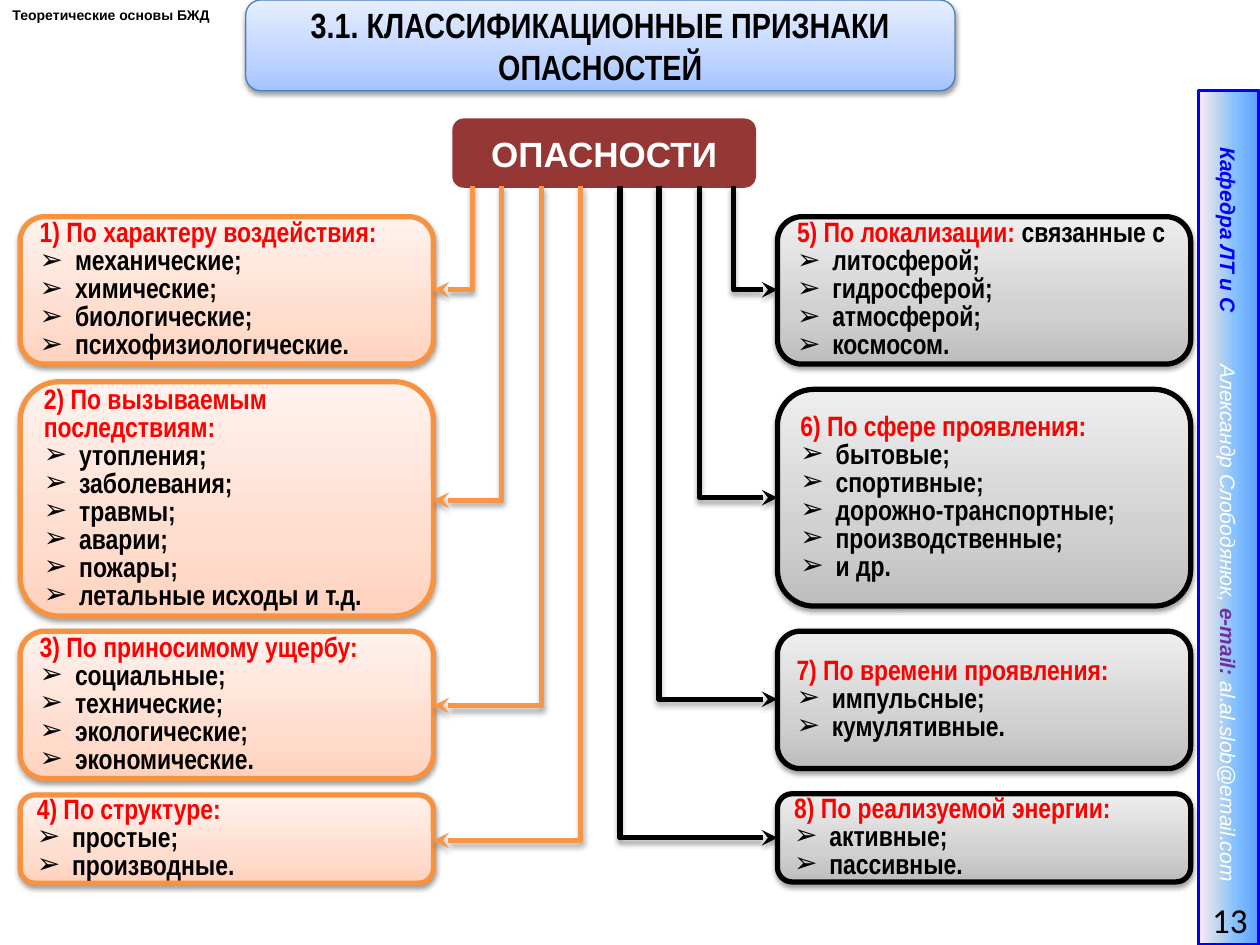
import pptx
import pptx.util
from pptx.dml.color import RGBColor
from pptx.enum.shapes import MSO_CONNECTOR, MSO_SHAPE
from pptx.enum.text import MSO_ANCHOR, PP_ALIGN
from pptx.oxml.ns import qn
from pptx.util import Inches, Pt
from lxml import etree

COLORS = {
    "black": "000000", "white": "FFFFFF", "red": "FF0000", "blue": "0000FF",
    "purple": "7030A0", "maroon": "953735", "orange line": "F69240",
    "orange arrow": "F79646", "title line": "4B7EBC",
}
GRADIENTS = {
    "orange": [(0, "FFD2BD"), (35, "FFDED0"), (100, "FFF2ED")],
    "gray": [(0, "BDBDBD"), (35, "D1D1D1"), (100, "EEEEEE")],
    "title": [(0, "A4C4FF"), (35, "BFD4FF"), (100, "E6EEFF")],
    "sidebar": [(0, "5E9EFF"), (40, "85C2FF"), (70, "C4D6EB"), (100, "FFEBFA")],
}
CARD_WIDTH = 3.28
LEFT_X, RIGHT_X = 0.16, 6.17
ROOT_BOTTOM = 1.48

# top, height, heading, heading tail, items, arrow x, arrow y
LEFT_CARDS = [
    (1.72, 1.17, "1) По характеру воздействия:", "",
     ["механические;", "химические;", "биологические;", "психофизиологические."], 3.75, 2.3),
    (3.03, 1.86, "2) По вызываемым последствиям:", "",
     ["утопления;", "заболевания;", "травмы;", "аварии;", "пожары;",
      "летальные исходы и т.д."], 3.98, 3.97),
    (5.01, 1.17, "3) По приносимому ущербу:", "",
     ["социальные;", "технические;", "экологические;", "экономические."], 4.3, 5.6),
    (6.31, 0.7, "4) По структуре:", "", ["простые;", "производные."], 4.61, 6.67),
]
RIGHT_CARDS = [
    (1.72, 1.17, "5) По локализации: ", "связанные с",
     ["литосферой;", "гидросферой;", "атмосферой;", "космосом."], 5.82, 2.3),
    (3.09, 1.72, "6) По сфере проявления:", "",
     ["бытовые;", "спортивные;", "дорожно-транспортные;", "производственные;",
      "и др."], 5.55, 3.95),
    (5.01, 1.09, "7) По времени проявления:", "",
     ["импульсные;", "кумулятивные."], 5.23, 5.55),
    (6.3, 0.7, "8) По реализуемой энергии:", "", ["активные;", "пассивные."], 4.92, 6.65),
]


def rgb(name):
    return RGBColor.from_string(COLORS[name])


def add_span(para, text, size, font, color, bold=False, italic=False):
    span = para.add_run()
    span.text = text
    span.font.size = Pt(size)
    span.font.name = font
    span.font.bold = bold
    span.font.italic = italic
    span.font.color.rgb = rgb(color)


def add_shadow(properties, opacity, distance):
    effects = properties.find(qn("a:effectLst"))
    if effects is None:
        effects = etree.SubElement(properties, qn("a:effectLst"))
    shadow = etree.SubElement(effects, qn("a:outerShdw"), blurRad=str(Pt(3.1)),
                              dist=str(Pt(distance)), dir="5400000", rotWithShape="0")
    color = etree.SubElement(shadow, qn("a:srgbClr"), val=COLORS["black"])
    etree.SubElement(color, qn("a:alpha"), val=str(opacity * 1000))


def fill_gradient(shape, stops, angle):
    shape.fill.gradient()
    shape.fill.gradient_angle = angle
    stop_list = shape._element.spPr.find(qn("a:gradFill")).find(qn("a:gsLst"))
    for stop in list(stop_list):
        stop_list.remove(stop)
    for position, color in stops:
        stop = etree.SubElement(stop_list, qn("a:gs"), pos=str(position * 1000))
        etree.SubElement(stop, qn("a:srgbClr"), val=color)


def add_box(slide, kind, left, top, width, height, line=None, line_width=0, inset=None):
    box = slide.shapes.add_shape(kind, Inches(left), Inches(top), Inches(width), Inches(height))
    box.shadow.inherit = False
    if line:
        box.line.color.rgb = rgb(line)
        box.line.width = Pt(line_width)
    else:
        box.line.fill.background()
    frame = box.text_frame
    frame.word_wrap = True
    frame.vertical_anchor = MSO_ANCHOR.MIDDLE
    if inset is not None:
        frame.margin_left = frame.margin_right = Inches(inset)
        frame.margin_top = frame.margin_bottom = Inches(inset)
    return box


def add_label(slide, left, top, width, height, wrap):
    label = slide.shapes.add_textbox(Inches(left), Inches(top), Inches(width), Inches(height))
    label.text_frame.word_wrap = wrap
    return label


def add_bullet(para):
    properties = para._p.get_or_add_pPr()
    properties.set("marL", str(Inches(0.28)))
    properties.set("indent", str(-Inches(0.28)))
    etree.SubElement(properties, qn("a:buFont"), typeface="Arial")
    etree.SubElement(properties, qn("a:buChar"), char="➢")


def add_card(slide, left, top, height, gradient, line, heading, tail, items):
    card = add_box(slide, MSO_SHAPE.ROUNDED_RECTANGLE, left, top, CARD_WIDTH, height, line, 3)
    fill_gradient(card, GRADIENTS[gradient], 90)
    add_shadow(card._element.spPr, 38, 1.6)
    frame = card.text_frame
    para = frame.paragraphs[0]
    para.alignment = PP_ALIGN.LEFT
    para.line_spacing = Pt(16)
    add_span(para, heading, 16, "Arial Narrow", "red", bold=True)
    if tail:
        add_span(para, tail, 16, "Arial Narrow", "black", bold=True)
    for item in items:
        para = frame.add_paragraph()
        para.alignment = PP_ALIGN.LEFT
        para.line_spacing = Pt(16)
        add_bullet(para)
        add_span(para, item, 16, "Arial Narrow", "black", bold=True)


def add_arrow(slide, start_x, end_x, end_y, color):
    """Elbow arrow that drops from the root box, then turns to a card."""
    drop, run = end_y - ROOT_BOTTOM, abs(end_x - start_x)
    left = (start_x + end_x - drop) / 2
    top = (ROOT_BOTTOM + end_y - run) / 2
    arrow = slide.shapes.add_connector(MSO_CONNECTOR.ELBOW, Inches(left), Inches(top),
                                       Inches(left + drop), Inches(top + run))
    arrow.line.color.rgb = rgb(color)
    arrow.line.width = Pt(3)
    properties = arrow._element.spPr
    properties.find(qn("a:prstGeom")).set("prst", "bentConnector2")
    frame = properties.find(qn("a:xfrm"))
    if end_x < start_x:
        frame.set("rot", "5400000")
    else:
        frame.set("rot", "16200000")
        frame.set("flipH", "1")
    etree.SubElement(properties.find(qn("a:ln")), qn("a:tailEnd"), type="stealth")
    add_shadow(properties, 35, 1.8)


def add_sidebar(slide):
    bar = add_box(slide, MSO_SHAPE.RECTANGLE, 6.36, 3.87, 6.78, 0.48, "blue", 2)
    bar.rotation = 90
    fill_gradient(bar, GRADIENTS["sidebar"], 270)
    bar.text_frame.margin_left = Inches(0.45)
    para = bar.text_frame.paragraphs[0]
    para.alignment = PP_ALIGN.LEFT
    tabs = etree.SubElement(para._p.get_or_add_pPr(), qn("a:tabLst"))
    etree.SubElement(tabs, qn("a:tab"), pos=str(Inches(1.72)), algn="l")
    for text, color, bold in [("Кафедра ЛТ и С\t", "blue", True),
                              ("Александр Слободянюк, ", "white", False),
                              ("e-mail: ", "purple", True),
                              ("al.al.slob@email.com", "white", False)]:
        add_span(para, text, 12, "Arial", color, bold, italic=True)


def main():
    deck = pptx.Presentation()
    deck.slide_width, deck.slide_height = Inches(10), Inches(7.5)
    slide = deck.slides.add_slide(deck.slide_layouts[6])

    # Root box
    root = add_box(slide, MSO_SHAPE.ROUNDED_RECTANGLE, 3.59, 0.94, 2.41, 0.55, inset=0.04)
    root.fill.solid()
    root.fill.fore_color.rgb = rgb("maroon")
    para = root.text_frame.paragraphs[0]
    para.alignment = PP_ALIGN.CENTER
    add_span(para, "ОПАСНОСТИ", 20, "Arial", "white", bold=True)

    # Cards and their arrows
    sides = [
        (LEFT_CARDS, LEFT_X, LEFT_X + CARD_WIDTH, "orange", "orange line", "orange arrow"),
        (RIGHT_CARDS, RIGHT_X, RIGHT_X, "gray", "black", "black"),
    ]
    for cards, left, edge, gradient, line, arrow_color in sides:
        for top, height, heading, tail, items, arrow_x, arrow_y in cards:
            add_card(slide, left, top, height, gradient, line, heading, tail, items)
            add_arrow(slide, arrow_x, edge, arrow_y, arrow_color)

    # Course label and title
    course = add_label(slide, 0, 0, 1.79, 0.24, wrap=False)
    add_span(course.text_frame.paragraphs[0], "Теоретические основы БЖД", 8, "Arial", "black", True)
    title = add_box(slide, MSO_SHAPE.ROUNDED_RECTANGLE, 1.95, 0, 5.63, 0.72,
                    "title line", 0.75, inset=0.04)
    fill_gradient(title, GRADIENTS["title"], 90)
    add_shadow(title._element.spPr, 38, 1.6)
    para = title.text_frame.paragraphs[0]
    para.alignment = PP_ALIGN.CENTER
    para.line_spacing = Pt(24)
    add_span(para, "3.1. КЛАССИФИКАЦИОННЫЕ ПРИЗНАКИ ОПАСНОСТЕЙ", 20, "Arial Narrow", "black", True)

    # Sidebar and page number
    add_sidebar(slide)
    number = add_label(slide, 9.22, 7.1, 0.78, 0.4, wrap=True)
    number.text_frame.vertical_anchor = MSO_ANCHOR.MIDDLE
    para = number.text_frame.paragraphs[0]
    para.alignment = PP_ALIGN.RIGHT
    add_span(para, "13", 20, "Calibri", "black")

    deck.save("out.pptx")


if __name__ == "__main__":
    main()
